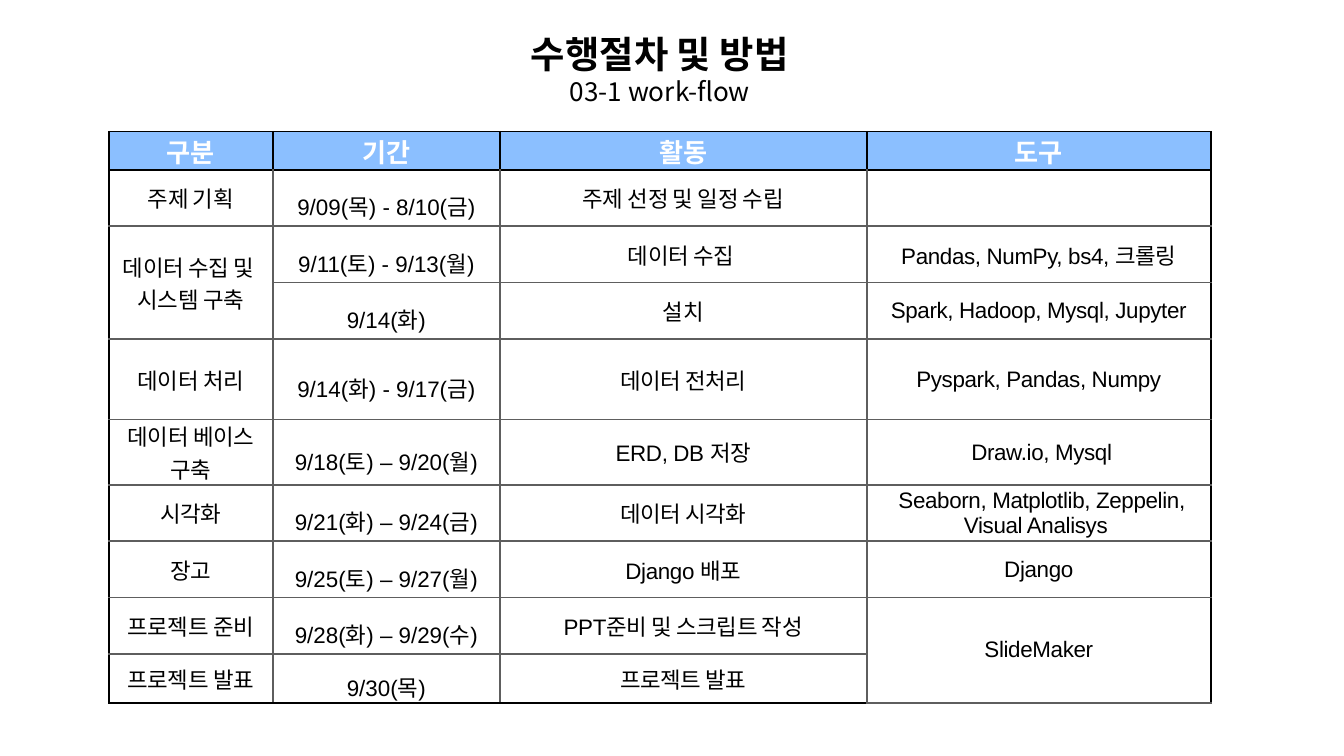
from dataclasses import dataclass

from lxml.etree import SubElement
from pptx import Presentation
from pptx.dml.color import RGBColor
from pptx.enum.text import MSO_ANCHOR, MSO_AUTO_SIZE, PP_ALIGN
from pptx.oxml.ns import qn
from pptx.util import Inches, Pt


@dataclass(frozen=True)
class Theme:
    black: str = "000000"
    white: str = "FFFFFF"
    blue: str = "8BBFFF"
    grey: str = "5E5E5E"
    sans: str = "Noto Sans CJK KR"
    body: str = "Arial"
    title: int = 20
    head: int = 14
    cell: int = 12


THEME = Theme()
WIDTH = 10
DATE_COL = 1
COLS = [1.22, 1.69, 2.73, 2.56]
HEIGHTS = [0.22, 0.42, 0.42, 0.42, 0.6, 0.42, 0.42, 0.42, 0.42, 0.35]
ROWS = [
    ["구분", "기간", "활동", "도구"],
    ["주제 기획", "9/09(목) - 8/10(금)", "주제 선정 및 일정 수립", ""],
    ["데이터 수집 및 \n시스템 구축", "9/11(토) - 9/13(월)", "데이터 수집 ",
     "Pandas, NumPy, bs4, 크롤링"],
    ["", "9/14(화)", "설치", "Spark, Hadoop, Mysql, Jupyter"],
    ["데이터 처리", "9/14(화) - 9/17(금)", "데이터 전처리",
     "Pyspark, Pandas, Numpy"],
    ["데이터 베이스 구축", "9/18(토) – 9/20(월)", "ERD, DB 저장",
     " Draw.io, Mysql"],
    ["시각화", "9/21(화) – 9/24(금)", "데이터 시각화",
     " Seaborn, Matplotlib, Zeppelin, Visual Analisys "],
    ["장고", "9/25(토) – 9/27(월)", "Django 배포", "Django"],
    ["프로젝트 준비", "9/28(화) – 9/29(수)", "PPT준비 및 스크립트 작성",
     "SlideMaker"],
    ["프로젝트 발표", "9/30(목)", "프로젝트 발표", ""],
]
MERGES = [((2, 0), (3, 0)), ((8, 3), (9, 3))]


def add_run(para, text, size, face, color, bold=False, track=0):
    """Add a run; track is letter spacing in hundredths of a point."""
    run = para.add_run()
    run.text = text
    font = run.font
    font.size, font.bold, font.name = Pt(size), bold, face
    font.color.rgb = RGBColor.from_string(color)
    props = run._r.get_or_add_rPr()
    SubElement(props, qn("a:ea"), typeface=THEME.sans)
    if track:
        props.set("spc", str(track))


def add_title(slide):
    title = slide.shapes.title
    title.left, title.top = Inches(0.25), Inches(0.13)
    title.width, title.height = Inches(9.32), Inches(0.63)
    frame = title.text_frame
    frame.auto_size = MSO_AUTO_SIZE.NONE
    frame.word_wrap = True
    frame.vertical_anchor = MSO_ANCHOR.TOP
    frame.margin_left = frame.margin_right = Inches(0.1)
    frame.margin_top = frame.margin_bottom = Inches(0.1)
    lines = [("수행절차 및 방법", THEME.title, True),
             ("03-1 work-flow", THEME.head, False)]
    for i, (text, size, bold) in enumerate(lines):
        para = frame.add_paragraph() if i else frame.paragraphs[0]
        para.alignment = PP_ALIGN.CENTER
        add_run(para, text, size, THEME.sans, THEME.black, bold)


def set_edges(cell, row, col):
    """Draw black lines round the table and its header, grey ones inside."""
    black = {
        "L": row == 0 or col == 0,
        "R": row == 0 or col == len(COLS) - 1,
        "T": row <= 1,
        "B": row in (0, len(ROWS) - 1),
    }
    props = cell._tc.get_or_add_tcPr()
    for side, dark in black.items():
        line = SubElement(props, qn(f"a:ln{side}"), w=str(Pt(1)))
        fill = SubElement(line, qn("a:solidFill"))
        SubElement(fill, qn("a:srgbClr"),
                   val=THEME.black if dark else THEME.grey)


def fill_cell(cell, text, row, col):
    cell.margin_left = cell.margin_right = 0
    cell.margin_top = cell.margin_bottom = 0
    cell.vertical_anchor = MSO_ANCHOR.MIDDLE
    set_edges(cell, row, col)
    head = row == 0
    if head:
        cell.fill.solid()
        cell.fill.fore_color.rgb = RGBColor.from_string(THEME.blue)
    else:
        cell.fill.background()
    date = col == DATE_COL and not head
    frame = cell.text_frame
    for i, line in enumerate(text.split("\n")):
        para = frame.add_paragraph() if i else frame.paragraphs[0]
        para.alignment = PP_ALIGN.CENTER
        if date:
            para.line_spacing = 1.5
        if not line:
            para.font.size = Pt(THEME.cell)
        elif head:
            add_run(para, line, THEME.head, THEME.sans, THEME.white, True, -20)
        else:
            add_run(para, line, THEME.cell, THEME.body, THEME.black,
                    track=0 if date else -20)


def add_plan(slide):
    frame = slide.shapes.add_table(
        len(ROWS), len(COLS), Inches(0.81), Inches(0.98),
        Inches(sum(COLS)), Inches(sum(HEIGHTS)))
    table = frame.table
    table.first_row = table.horz_banding = False
    for col, width in zip(table.columns, COLS):
        col.width = Inches(width)
    for row, height in zip(table.rows, HEIGHTS):
        row.height = Inches(height)
    for r, texts in enumerate(ROWS):
        for c, text in enumerate(texts):
            fill_cell(table.cell(r, c), text, r, c)
    for start, end in MERGES:
        table.cell(*start).merge(table.cell(*end))


def main():
    deck = Presentation()
    deck.slide_width = Inches(WIDTH)
    deck.slide_height = Inches(WIDTH * 9 / 16)
    slide = deck.slides.add_slide(deck.slide_layouts[5])
    add_plan(slide)
    add_title(slide)
    deck.save("out.pptx")


if __name__ == "__main__":
    main()
